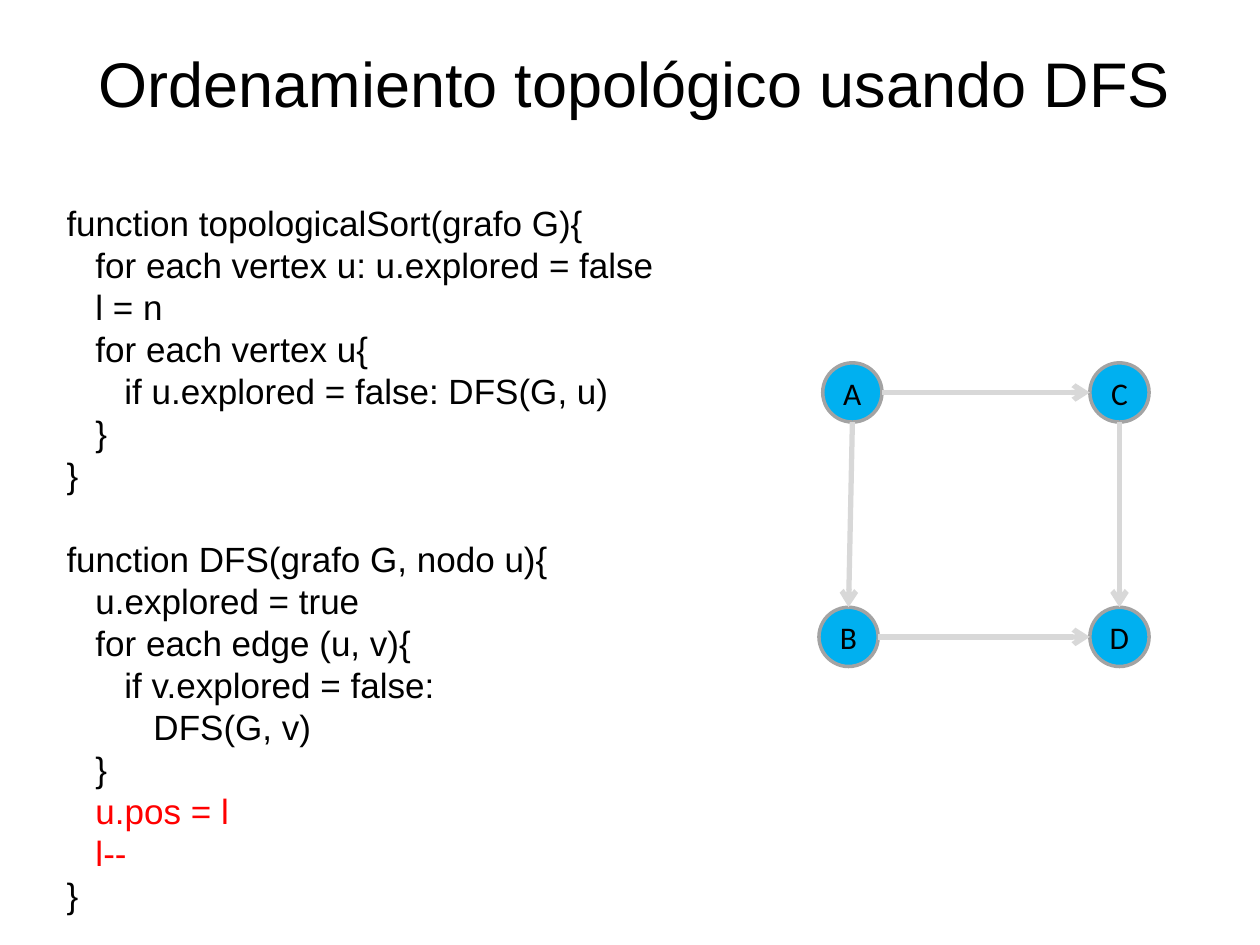
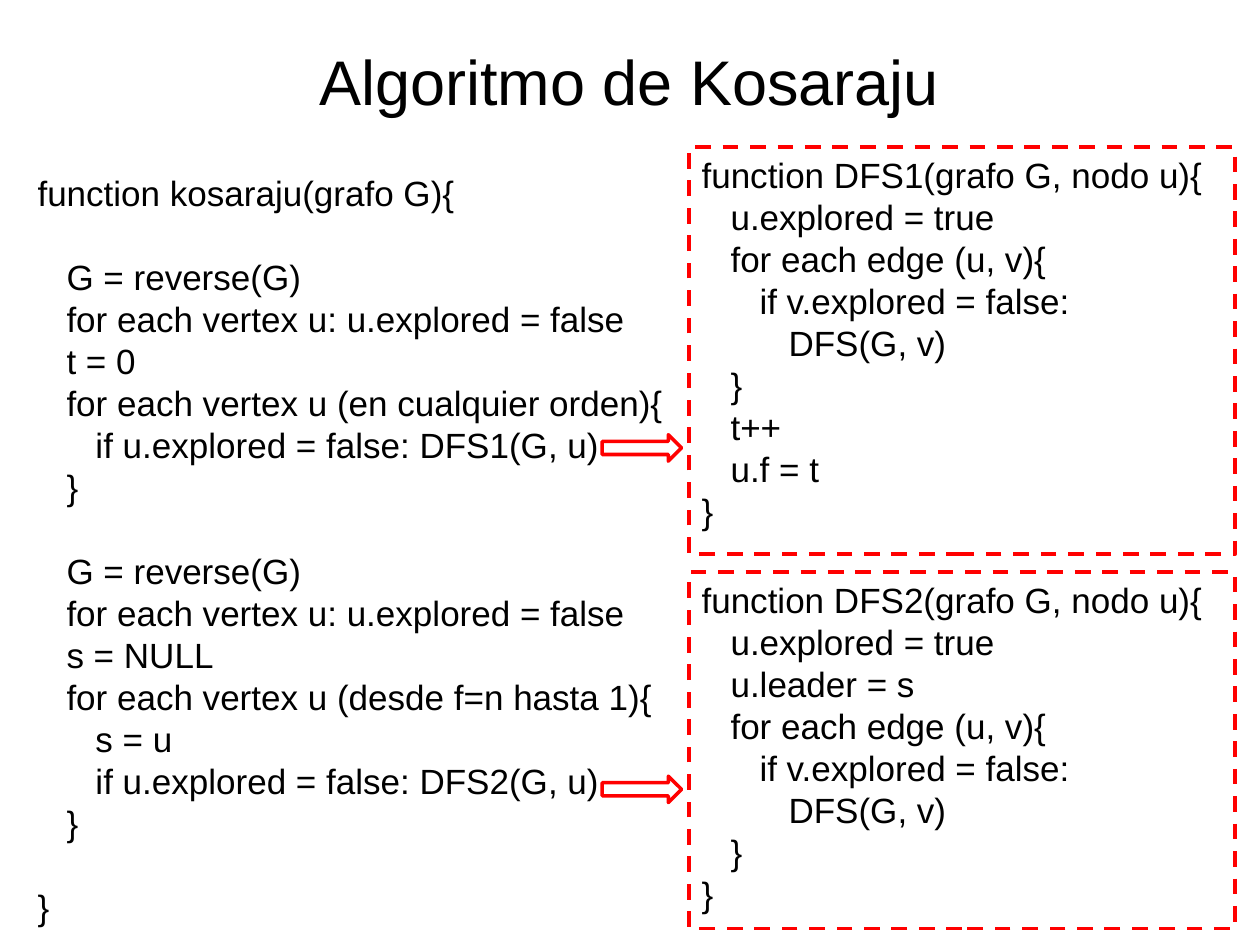
from lxml import etree
from pptx import Presentation
from pptx.dml.color import RGBColor
from pptx.enum.dml import MSO_LINE_DASH_STYLE as Dash
from pptx.enum.shapes import MSO_CONNECTOR as Connector, MSO_SHAPE as Shape
from pptx.enum.text import MSO_ANCHOR as Anchor, PP_ALIGN as Align
from pptx.oxml.ns import qn
from pptx.util import Inches, Pt

COLORS = {"text": "000000", "accent": "FF0000", "node": "00B0F0",
          "node_line": "A3A3A3", "edge": "D8D8D8"}
FORMATS = {
    "title": {"name": "Arial", "size": Pt(36)},
    "code": {"name": "Arial", "size": Pt(20)},
    "node": {"name": "Calibri", "size": Pt(18)},
}
INDENT = 0.23
LINE_PITCH = 24
NODE_SIZE = 0.47

GAP = (0, "", "text")


def code(*lines):
    return [line if len(line) == 3 else (*line, "text") for line in lines]


VISIT_EDGES = code(
    (1, "for each edge (u, v){"),
    (2, "if v.explored = false:"),
    (3, "DFS(G, v)"),
    (1, "}"),
)
RESET = code((1, "for each vertex u: u.explored = false"))
END = code((0, "}"))

TOPOLOGICAL_SORT = [
    *code((0, "function topologicalSort(grafo G){")),
    *RESET,
    *code((1, "l = n"),
          (1, "for each vertex u{"),
          (2, "if u.explored = false: DFS(G, u)"),
          (1, "}")),
    *END,
    GAP,
    *code((0, "function DFS(grafo G, nodo u){"),
          (1, "u.explored = true")),
    *VISIT_EDGES,
    *code((1, "u.pos = l", "accent"), (1, "l--", "accent")),
    *END,
]
KOSARAJU = [
    *code((0, "function kosaraju(grafo G){"),
          GAP,
          (1, "G = reverse(G)")),
    *RESET,
    *code((1, "t = 0"),
          (1, "for each vertex u (en cualquier orden){"),
          (2, "if u.explored = false: DFS1(G, u)"),
          (1, "}"),
          GAP,
          (1, "G = reverse(G)")),
    *RESET,
    *code((1, "s = NULL"),
          (1, "for each vertex u (desde f=n hasta 1){"),
          (2, "s = u"),
          (2, "if u.explored = false: DFS2(G, u)"),
          (1, "}"),
          GAP),
    *END,
]
DFS1 = [
    *code((0, "function DFS1(grafo G, nodo u){"),
          (1, "u.explored = true")),
    *VISIT_EDGES,
    *code((1, "t++"), (1, "u.f = t")),
    *END,
]
DFS2 = [
    *code((0, "function DFS2(grafo G, nodo u){"),
          (1, "u.explored = true"),
          (1, "u.leader = s")),
    *VISIT_EDGES,
    *END,
]

NODES = {"A": (6.53, 2.88), "C": (8.65, 2.88), "B": (6.5, 4.82), "D": (8.65, 4.82)}
EDGES = ["AB", "AC", "CD", "BD"]
FUNCTION_BOXES = [(1.17, 3.23, DFS1), (4.54, 2.83, DFS2)]
CALL_ARROW_TOPS = [3.45, 6.16]


def rgb(name):
    return RGBColor.from_string(COLORS[name])


def add_span(para, text, style, color="text"):
    span = para.add_run()
    span.text = text
    for name, value in FORMATS[style].items():
        setattr(span.font, name, value)
    span.font.color.rgb = rgb(color)


def write_code(frame, lines):
    frame.word_wrap = True
    frame.vertical_anchor = Anchor.TOP
    para, space = frame.paragraphs[0], 0
    for level, text, color in lines:
        if not text:
            space = LINE_PITCH
            continue
        if para.runs:
            para = frame.add_paragraph()
        values = {"alignment": Align.JUSTIFY, "line_spacing": Pt(LINE_PITCH),
                  "space_before": Pt(space), "space_after": Pt(0)}
        for name, value in values.items():
            setattr(para, name, value)
        properties = para._p.get_or_add_pPr()
        properties.set("marL", str(Inches(level * INDENT)))
        properties.set("indent", "0")
        add_span(para, text, "code", color)
        space = 0


def add_box(page, *place):
    return page.shapes.add_textbox(*map(Inches, place))


def add_title(page, text, *place):
    frame = add_box(page, *place).text_frame
    frame.word_wrap = True
    frame.vertical_anchor = Anchor.BOTTOM
    para = frame.paragraphs[0]
    para.alignment = Align.CENTER
    add_span(para, text, "title")


def add_outline(page, kind, place, line, width, fill=None):
    shape = page.shapes.add_shape(kind, *map(Inches, place))
    shape.shadow.inherit = False
    if fill:
        shape.fill.solid()
        shape.fill.fore_color.rgb = rgb(fill)
    else:
        shape.fill.background()
    shape.line.color.rgb = rgb(line)
    shape.line.width = Pt(width)
    return shape


def add_node(page, name):
    node = add_outline(page, Shape.OVAL, (*NODES[name], NODE_SIZE, NODE_SIZE),
                       "node_line", 2, "node")
    frame = node.text_frame
    for side in ("left", "right", "top", "bottom"):
        setattr(frame, f"margin_{side}", 0)
    frame.vertical_anchor = Anchor.MIDDLE
    para = frame.paragraphs[0]
    para.alignment = Align.CENTER
    add_span(para, name, "node")


def add_edge(page, source, target):
    (x1, y1), (x2, y2) = NODES[source], NODES[target]
    half = NODE_SIZE / 2
    if y1 == y2:
        ends = (x1 + NODE_SIZE, y1 + half, x2, y2 + half)
    else:
        ends = (x1 + half, y1 + NODE_SIZE, x2 + half, y2)
    edge = page.shapes.add_connector(Connector.STRAIGHT, *map(Inches, ends))
    edge.line.color.rgb = rgb("edge")
    edge.line.width = Pt(3)
    etree.SubElement(edge.line._get_or_add_ln(), qn("a:tailEnd"), type="arrow")
    etree.SubElement(edge._element.spPr, qn("a:effectLst"))


def build_topological_sort(page):
    add_title(page, "Ordenamiento topológico usando DFS", 0.43, 0.29, 9.21, 0.71)
    write_code(add_box(page, 0.43, 1.55, 4.96, 5.67).text_frame, TOPOLOGICAL_SORT)
    for name in NODES:
        add_node(page, name)
    for source, target in EDGES:
        add_edge(page, source, target)


def build_kosaraju(page):
    add_title(page, "Algoritmo de Kosaraju", 0.43, 0.36, 9.13, 0.63)
    write_code(add_box(page, 0.2, 1.31, 8.9, 6.11).text_frame, KOSARAJU)
    for top, height, lines in FUNCTION_BOXES:
        box = add_outline(page, Shape.RECTANGLE, (5.47, top, 4.33, height), "accent", 2.25)
        box.line.dash_style = Dash.DASH
        write_code(box.text_frame, lines)
    for top in CALL_ARROW_TOPS:
        add_outline(page, Shape.RIGHT_ARROW, (4.78, top, 0.63, 0.21), "accent", 2)


def main():
    deck = Presentation()
    deck.slide_width, deck.slide_height = Inches(10), Inches(7.5)
    for build in (build_topological_sort, build_kosaraju):
        build(deck.slides.add_slide(deck.slide_layouts[6]))
    deck.save("out.pptx")


if __name__ == "__main__":
    main()
